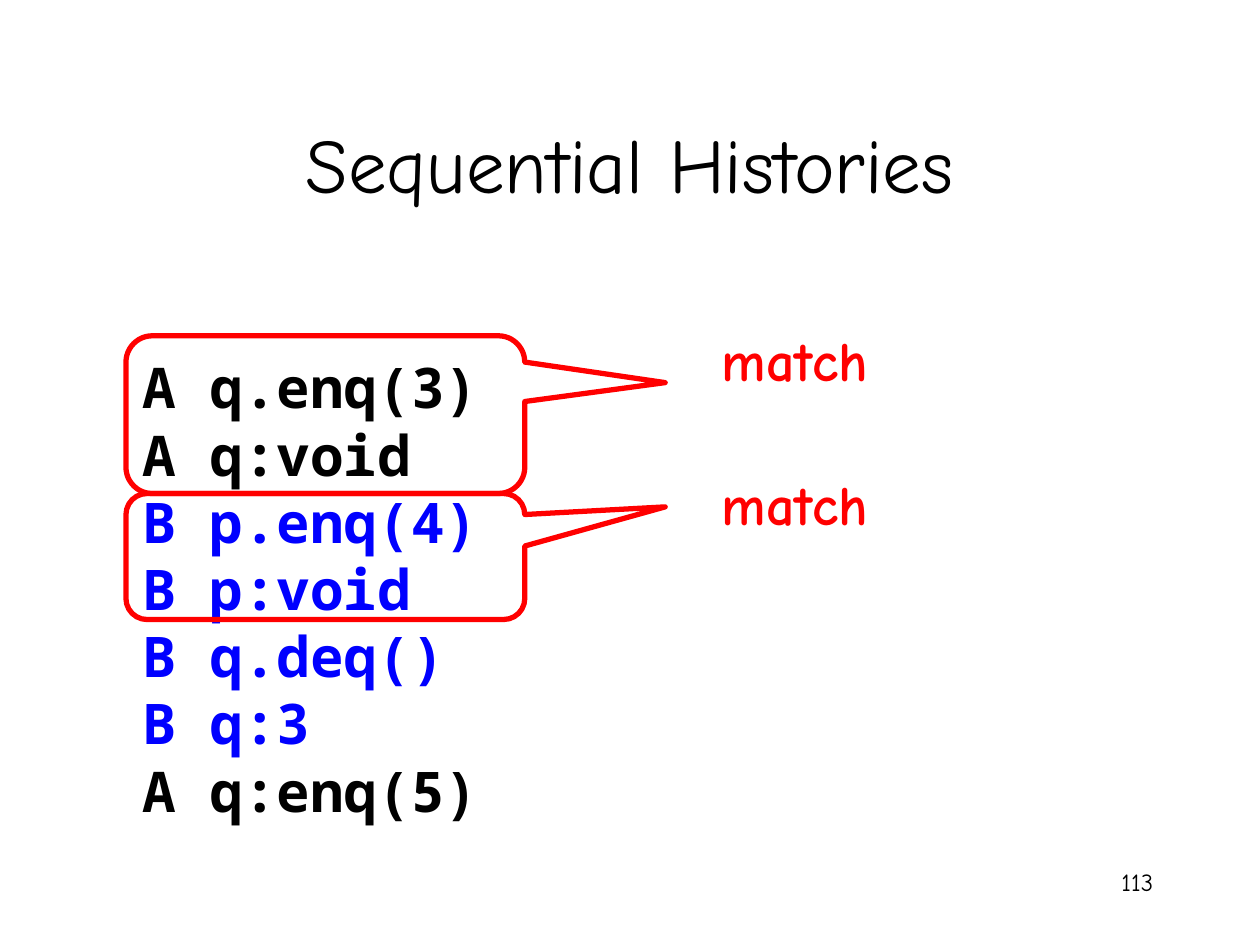
from pptx import Presentation
from pptx.dml.color import RGBColor
from pptx.enum.shapes import MSO_SHAPE as SHAPE
from pptx.enum.text import MSO_ANCHOR as ANCHOR, MSO_AUTO_SIZE as FIT, PP_ALIGN as ALIGN
from pptx.util import Cm, Pt

SANS, MONO = "Comic Neue", "Noto Sans Mono"
BLACK, BLUE, RED = "000000", "0000FF", "FF0000"
HISTORY = [
    ("A q.enq(3)", BLACK),
    ("A q:void", BLACK),
    ("B p.enq(4)", BLUE),
    ("B p:void", BLUE),
    ("B q.deq()", BLUE),
    ("B q:3", BLUE),
    ("A q:enq(5)", BLACK),
]


def rgb(value):
    return RGBColor.from_string(value)


def add_text(s, box, lines, size, font=SANS, bold=False, align=ALIGN.LEFT,
             anchor=ANCHOR.TOP, wrap=True, fit=FIT.NONE):
    sp = s.shapes.add_textbox(*map(Cm, box))
    tf = sp.text_frame
    tf.word_wrap = wrap
    tf.auto_size = fit
    tf.vertical_anchor = anchor
    for i, (text, color) in enumerate(lines):
        p = tf.paragraphs[0] if i == 0 else tf.add_paragraph()
        p.alignment = align
        r = p.add_run()
        r.text = text
        r.font.name = font
        r.font.size = Pt(size)
        r.font.bold = bold
        r.font.color.rgb = rgb(color)
    return sp


def add_title(s, box):
    add_text(s, box, [("Sequential Histories", BLACK)], 44,
             align=ALIGN.CENTER, anchor=ANCHOR.MIDDLE)


def add_history(s, box):
    add_text(s, box, HISTORY, 32, MONO, True, fit=FIT.SHAPE_TO_FIT_TEXT)


def add_match(s, box, tip_y, label_dy):
    x, y, w, h = box
    sp = s.shapes.add_shape(SHAPE.ROUNDED_RECTANGULAR_CALLOUT, *map(Cm, box))
    for i, value in enumerate((0.852, tip_y, 0.167)):
        sp.adjustments[i] = value
    sp.shadow.inherit = False
    sp.fill.background()
    sp.line.color.rgb = rgb(RED)
    sp.line.width = Pt(3)
    add_text(s, (x + 11.43, y + label_dy, 3.78, 1.6), [("match", RED)], 32,
             bold=True, align=ALIGN.RIGHT, wrap=False, fit=FIT.SHAPE_TO_FIT_TEXT)


def add_page_number(s, box):
    add_text(s, box, [("113", BLACK)], 14, align=ALIGN.RIGHT)


def main():
    prs = Presentation()
    prs.slide_width, prs.slide_height = Cm(25.4), Cm(19.05)
    s = prs.slides.add_slide(prs.slide_layouts[6])
    add_page_number(s, (18.2, 17.35, 5.3, 1.27))
    add_title(s, (1.9, 1.7, 21.6, 3.18))
    add_history(s, (2.62, 6.99, 7.75, 9.73))
    add_match(s, (2.54, 6.77, 8.04, 3.18), -0.203, -0.34)
    add_match(s, (2.54, 9.95, 8.04, 2.54), -0.394, -0.6)
    prs.save("out.pptx")


if __name__ == "__main__":
    main()
